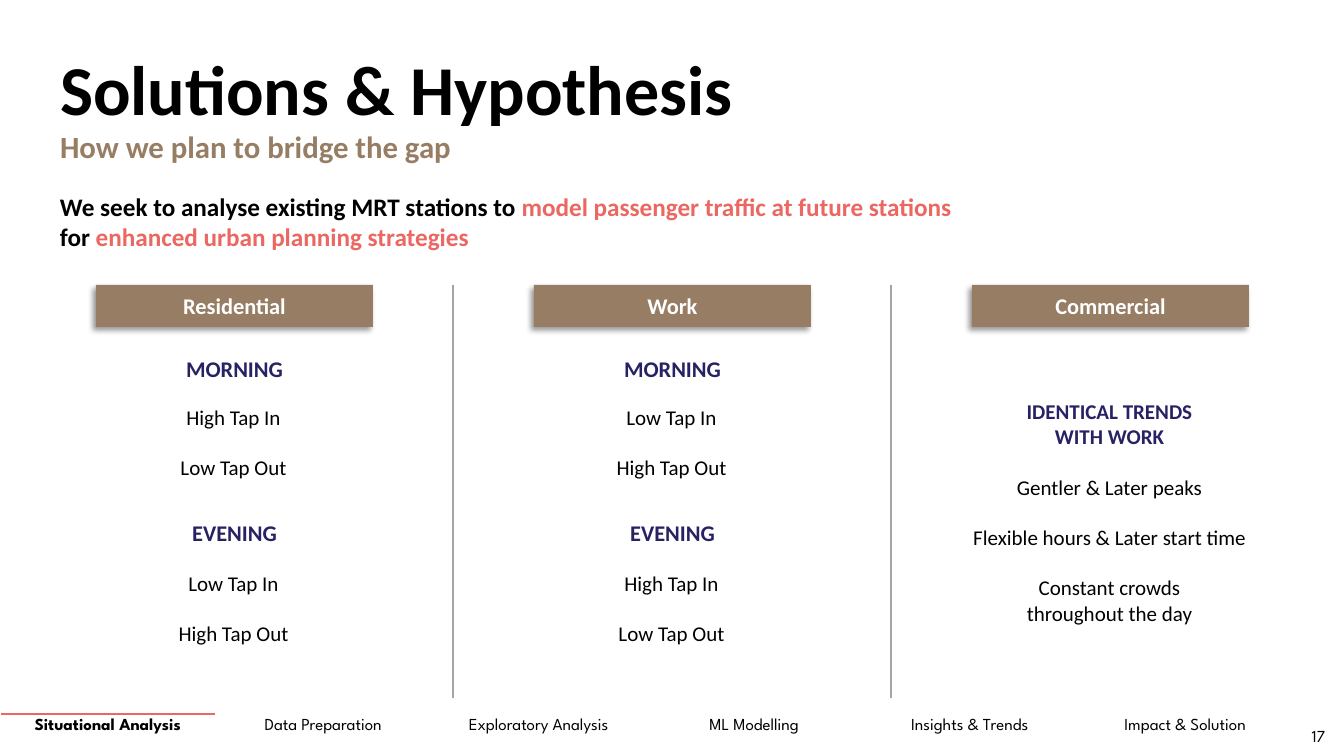
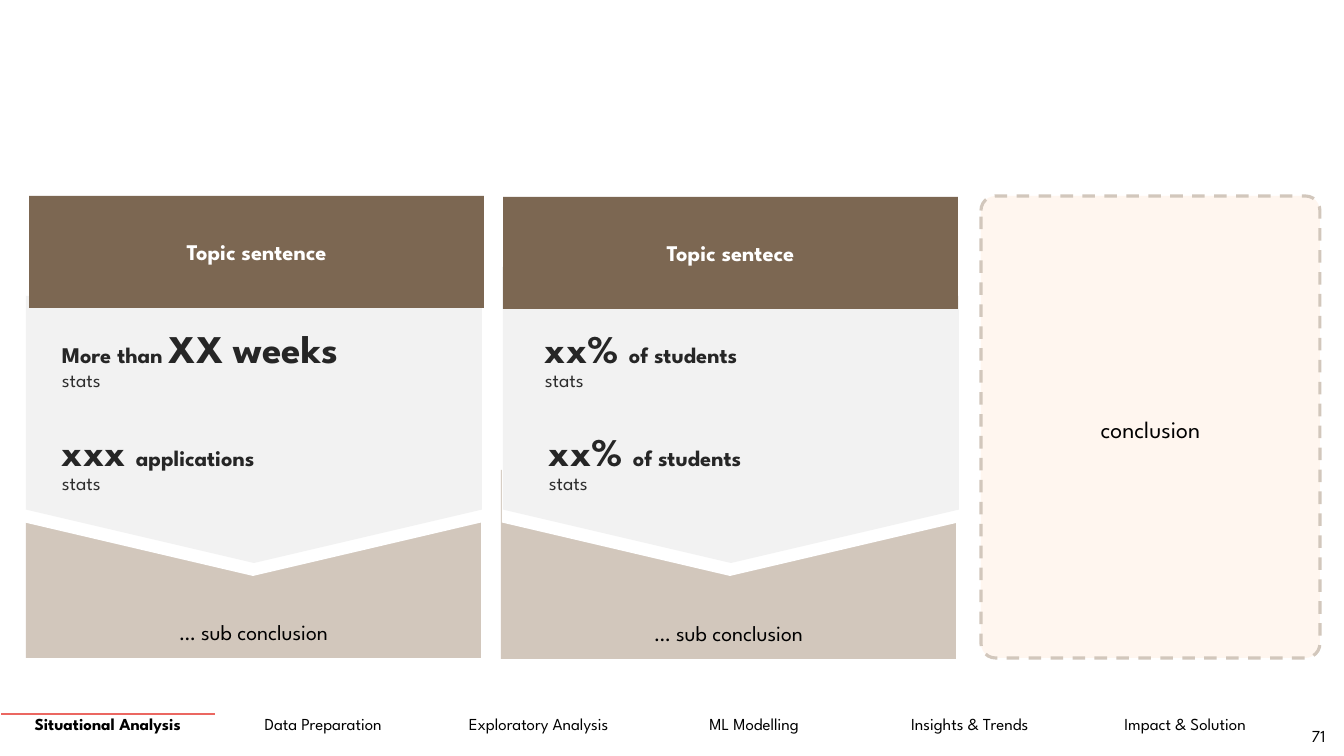
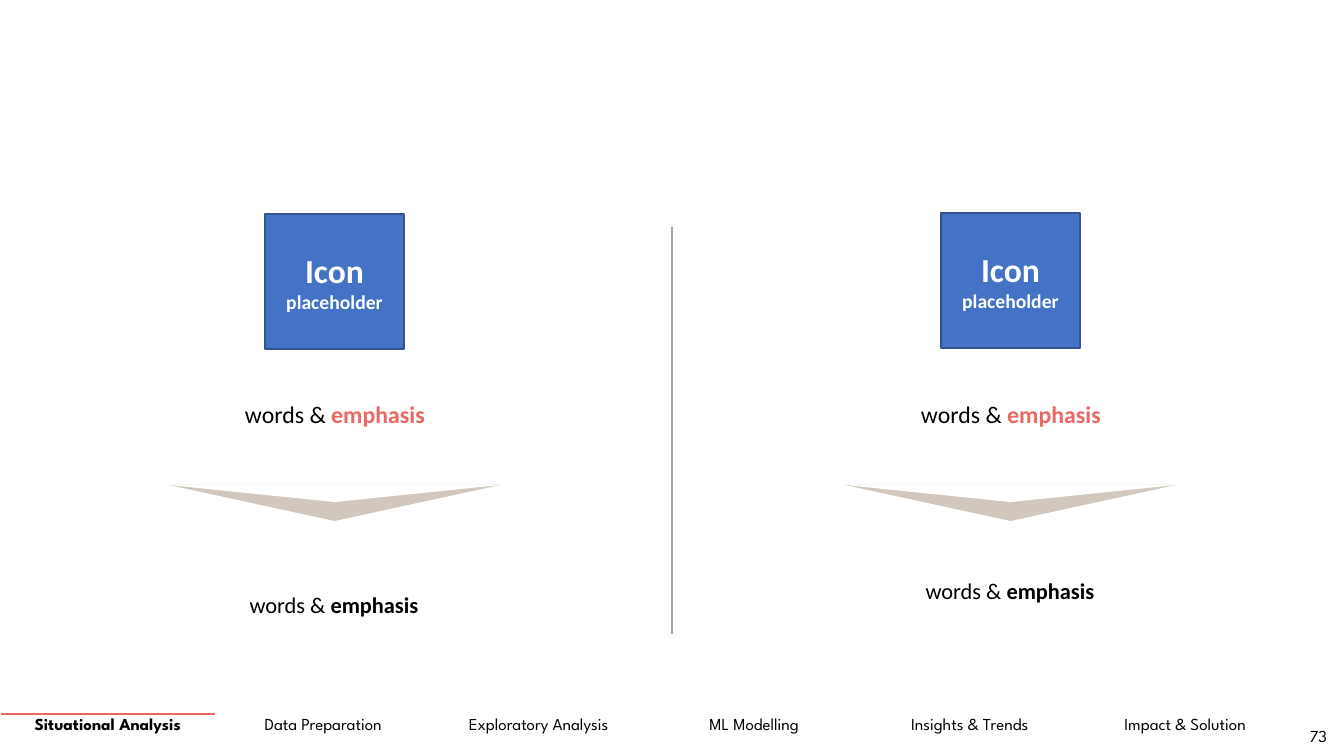
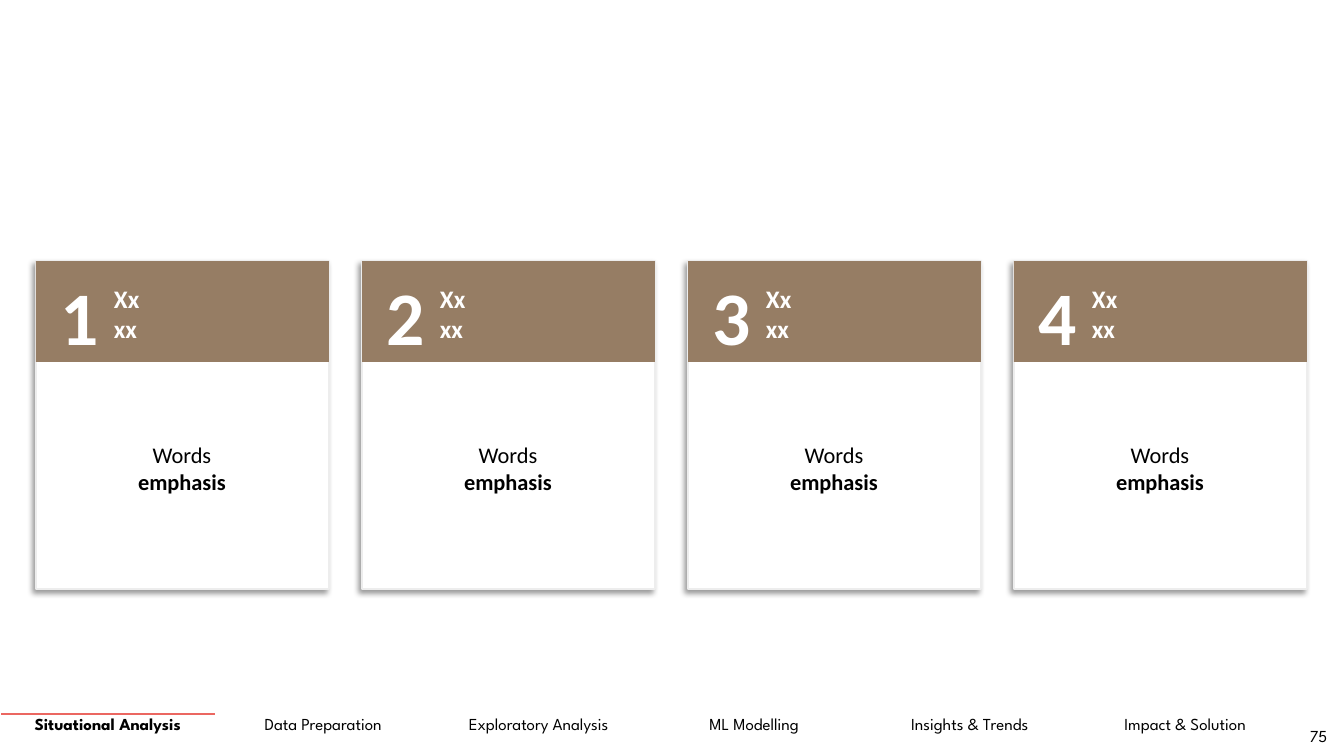
from lxml.etree import SubElement
from pptx import Presentation
from pptx.dml.color import RGBColor
from pptx.enum.dml import MSO_LINE
from pptx.enum.shapes import MSO_CONNECTOR, MSO_SHAPE as Shape
from pptx.enum.text import MSO_ANCHOR as Anchor, MSO_AUTO_SIZE, PP_ALIGN as Align
from pptx.oxml import parse_xml
from pptx.oxml.ns import nsdecls, qn
from pptx.util import Pt

PX = 914400 / 100.8
BODY_FONT = "Calibri"
LABEL_FONT = "League Spartan"
COLORS = {
    "black": "000000",
    "white": "FFFFFF",
    "coral": "EB6761",
    "tan": "967D64",
    "brown": "7C6752",
    "sand": "D2C7BC",
    "cream": "FFF6EF",
    "navy": "272264",
    "pale": "F2F2F2",
    "edge": "EDEDED",
    "rule": "A5A5A5",
    "ink": "262626",
    "soft_ink": "2E2E2E",
    "blue": "4472C4",
    "blue_edge": "325491",
}
RGB = {name: RGBColor.from_string(value) for name, value in COLORS.items()}
SECTIONS = ["Situational Analysis", "Data Preparation", "Exploratory Analysis",
            "ML Modelling", "Insights & Trends", "Impact & Solution"]


def add_box(page, place, kind=None, fill=None, line=None, width=1, shadow=False):
    left, top, wide, high = [round(length * PX) for length in place]
    if kind is None:
        return page.shapes.add_textbox(left, top, wide, high)
    box = page.shapes.add_shape(kind, left, top, wide, high)
    box.fill.solid()
    box.fill.fore_color.rgb = RGB[fill]
    if line:
        box.line.color.rgb = RGB[line]
        box.line.width = Pt(width)
    else:
        box.line.fill.background()
    box.shadow.inherit = False
    if shadow:
        box.element.spPr.find(qn("a:effectLst")).append(parse_xml(
            f'<a:outerShdw {nsdecls("a")} blurRad="50800" dist="38100" dir="8100000" algn="tr" '
            'rotWithShape="0"><a:srgbClr val="000000"><a:alpha val="40000"/></a:srgbClr></a:outerShdw>'))
    return box


def write(holder, lines, align=Align.CENTER, anchor=Anchor.MIDDLE, font=BODY_FONT):
    frame = holder.text_frame
    if not hasattr(holder, "margin_left"):
        frame.word_wrap = True
        frame.auto_size = MSO_AUTO_SIZE.NONE
    frame.vertical_anchor = anchor
    for index, line in enumerate(lines):
        para = frame.add_paragraph() if index else frame.paragraphs[0]
        para.alignment = align
        para.space_before = Pt(0)
        for text, size, color, bold in line:
            span = para.add_run()
            span.text = text
            span.font.name = font
            span.font.size = Pt(size)
            span.font.color.rgb = RGB[color]
            span.font.bold = bold
    return frame


deck = Presentation()
deck.slide_width = round(1344 * PX)
deck.slide_height = round(756 * PX)

pages = []
for layout, number in [(1, "17"), (6, "71"), (6, "73"), (6, "75")]:
    page = deck.slides.add_slide(deck.slide_layouts[layout])
    pages.append(page)
    table = page.shapes.add_table(1, len(SECTIONS), 0, round(714 * PX),
                                  round(1293 * PX), round(42 * PX)).table
    table.first_row = False
    table.horz_banding = False
    for index, section in enumerate(SECTIONS):
        cell = table.cell(0, index)
        cell.fill.background()
        write(cell, [[(section, 12, "black", index == 0)]], font=LABEL_FONT)
    table.cell(0, 0)._tc.get_or_add_tcPr().insert(0, parse_xml(
        f'<a:lnT {nsdecls("a")} w="28575"><a:solidFill><a:srgbClr val="{COLORS["coral"]}"/>'
        '</a:solidFill></a:lnT>'))
    write(add_box(page, (1293, 715, 51, 42)), [[(number, 12, "black", False)]], font=LABEL_FONT)

hypothesis, topics, icons, cards = pages

for page, x, top, bottom in [(hypothesis, 453, 285, 698), (hypothesis, 891, 285, 698),
                             (icons, 672, 227, 634)]:
    divider = page.shapes.add_connector(MSO_CONNECTOR.STRAIGHT, round(x * PX), round(top * PX),
                                        round(x * PX), round(bottom * PX))
    divider.line.color.rgb = RGB["rule"]
    divider.line.width = Pt(1)
    SubElement(divider.element.spPr, qn("a:effectLst"))

title = hypothesis.shapes.title
subtitle = hypothesis.placeholders[1]
for holder, place, text, size, color in [
    (title, (50, 26, 1061, 134), "Solutions & Hypothesis", 50, "black"),
    (subtitle, (50, 115, 1108, 68), "How we plan to bridge the gap", 22, "tan"),
]:
    holder.left, holder.top, holder.width, holder.height = [round(length * PX) for length in place]
    para = write(holder, [[(text, size, color, True)]], Align.LEFT).paragraphs[0]
    para.line_spacing = 0.9
properties = subtitle.text_frame.paragraphs[0]._p.get_or_add_pPr()
properties.set("marL", "0")
properties.set("indent", "0")
SubElement(properties, qn("a:buNone"))

write(add_box(hypothesis, (50, 186, 1189, 68)), [
    [("We seek to analyse existing MRT stations to ", 18, "black", True),
     ("model passenger traffic at future stations", 18, "coral", True)],
    [("for ", 18, "black", True), ("enhanced urban planning strategies", 18, "coral", True)],
], Align.LEFT, Anchor.TOP)

for index, area in enumerate(["Residential", "Work", "Commercial"]):
    header = add_box(hypothesis, (96 + 438 * index, 285, 277, 42), Shape.RECTANGLE, "tan", shadow=True)
    write(header, [[(area, 16, "white", True)]])

for index, periods in enumerate([
    [("MORNING", "High Tap In", "Low Tap Out"), ("EVENING", "Low Tap In", "High Tap Out")],
    [("MORNING", "Low Tap In", "High Tap Out"), ("EVENING", "High Tap In", "Low Tap Out")],
]):
    for (period, *taps), heading_top, taps_top in zip(periods, [350, 514], [372, 538]):
        heading = add_box(hypothesis, (109 + 438 * index, heading_top, 251, 37))
        write(heading, [[(period, 16, "navy", True)]], anchor=Anchor.TOP)
        tap_box = add_box(hypothesis, (96 + 438 * index, taps_top, 275, 140))
        frame = write(tap_box, [[(tap, 15, "black", False)] for tap in taps])
        frame.paragraphs[1].space_before = Pt(18)

frame = write(add_box(hypothesis, (942, 355, 335, 314)), [
    [("IDENTICAL TRENDS", 15, "navy", True)],
    [("WITH WORK", 15, "navy", True)],
    [("Gentler & Later peaks", 15, "black", False)],
    [("Flexible hours & Later start time", 15, "black", False)],
    [("Constant crowds", 15, "black", False)],
    [("throughout the day", 15, "black", False)],
])
for para in frame.paragraphs[2:5]:
    para.space_before = Pt(18)

conclusion = add_box(topics, (981, 196, 339, 462), Shape.ROUNDED_RECTANGLE, "cream", "sand", 2.25)
conclusion.adjustments[0] = 0.043
conclusion.line.dash_style = MSO_LINE.DASH
frame = write(conclusion, [[("conclusion", 17, "black", False)]], font=LABEL_FONT)
frame.paragraphs[0].line_spacing = Pt(24)

add_box(topics, (502, 267, 455, 112), Shape.RECTANGLE, "pale")
for topic, base, gap_left, panel_left, banner, stats in [
    ("Topic sentence", (26, 463, 455, 195), 25, 26, (29, 196, 455, 112), [
        (52, [("More than ", 16), ("XX weeks", 28)]),
        (52, [("xxx ", 28), ("applications", 16)])]),
    ("Topic sentece", (501, 470, 455, 189), 502, 503, (503, 197, 455, 112), [
        (535, [("xx% ", 28), ("of students", 16)]),
        (539, [("xx% ", 28), ("of students", 16)])]),
]:
    base_box = add_box(topics, base, Shape.RECTANGLE, "sand")
    frame = write(base_box, [[("… sub conclusion", 15.5, "black", False)]],
                  anchor=Anchor.BOTTOM, font=LABEL_FONT)
    frame.margin_bottom = round(13 * PX)
    add_box(topics, (gap_left, 309, 456, 267), Shape.FLOWCHART_OFFPAGE_CONNECTOR, "white")
    add_box(topics, (panel_left, 296, 456, 267), Shape.FLOWCHART_OFFPAGE_CONNECTOR, "pale")
    banner_box = add_box(topics, banner, Shape.RECTANGLE, "brown")
    write(banner_box, [[(topic, 16, "white", True)]], font=LABEL_FONT)
    for row, (left, parts) in enumerate(stats):
        top = 319 + 103 * row
        write(add_box(topics, (left, top, 387, 49)),
              [[(text, size, "ink", True) for text, size in parts]],
              Align.LEFT, Anchor.TOP, LABEL_FONT)
        write(add_box(topics, (left, top + 44, 385, 29)), [[("stats", 14, "soft_ink", False)]],
              Align.LEFT, Anchor.TOP, LABEL_FONT)

for shift, icon_top, result_top in [(0, 214, 586), (676, 213, 572)]:
    icon = add_box(icons, (265 + shift, icon_top, 139, 135), Shape.RECTANGLE, "blue", "blue_edge")
    write(icon, [[("Icon", 24, "white", True)], [("placeholder", 14, "white", True)]])
    write(add_box(icons, (82 + shift, 376, 506, 77)),
          [[("words & ", 17, "black", False), ("emphasis", 17, "coral", True)]])
    for height, fill in [(36, "sand"), (17, "white")]:
        arrow = add_box(icons, (169 + shift, 485, 331, height), Shape.ISOSCELES_TRIANGLE, fill)
        arrow.rotation = 180
    write(add_box(icons, (29 + shift, result_top, 610, 37)),
          [[("words & ", 16, "black", False), ("emphasis", 16, "black", True)]])

for index in range(4):
    left = 36 + 326 * index
    add_box(cards, (left, 261, 293, 328), Shape.RECTANGLE, "white", "edge", shadow=True)
    add_box(cards, (left, 261, 293, 101), Shape.RECTANGLE, "tan")
    write(add_box(cards, (left + 15, 275, 52, 80)), [[(str(index + 1), 54, "white", True)]])
    write(add_box(cards, (left + 68, 277, 208, 73)),
          [[("Xx", 18, "white", True)], [("xx", 18, "white", True)]], Align.LEFT)
    write(add_box(cards, (left + 5, 400, 282, 136)),
          [[("Words", 16, "black", False)], [("emphasis", 16, "black", True)]])

deck.save("out.pptx")
